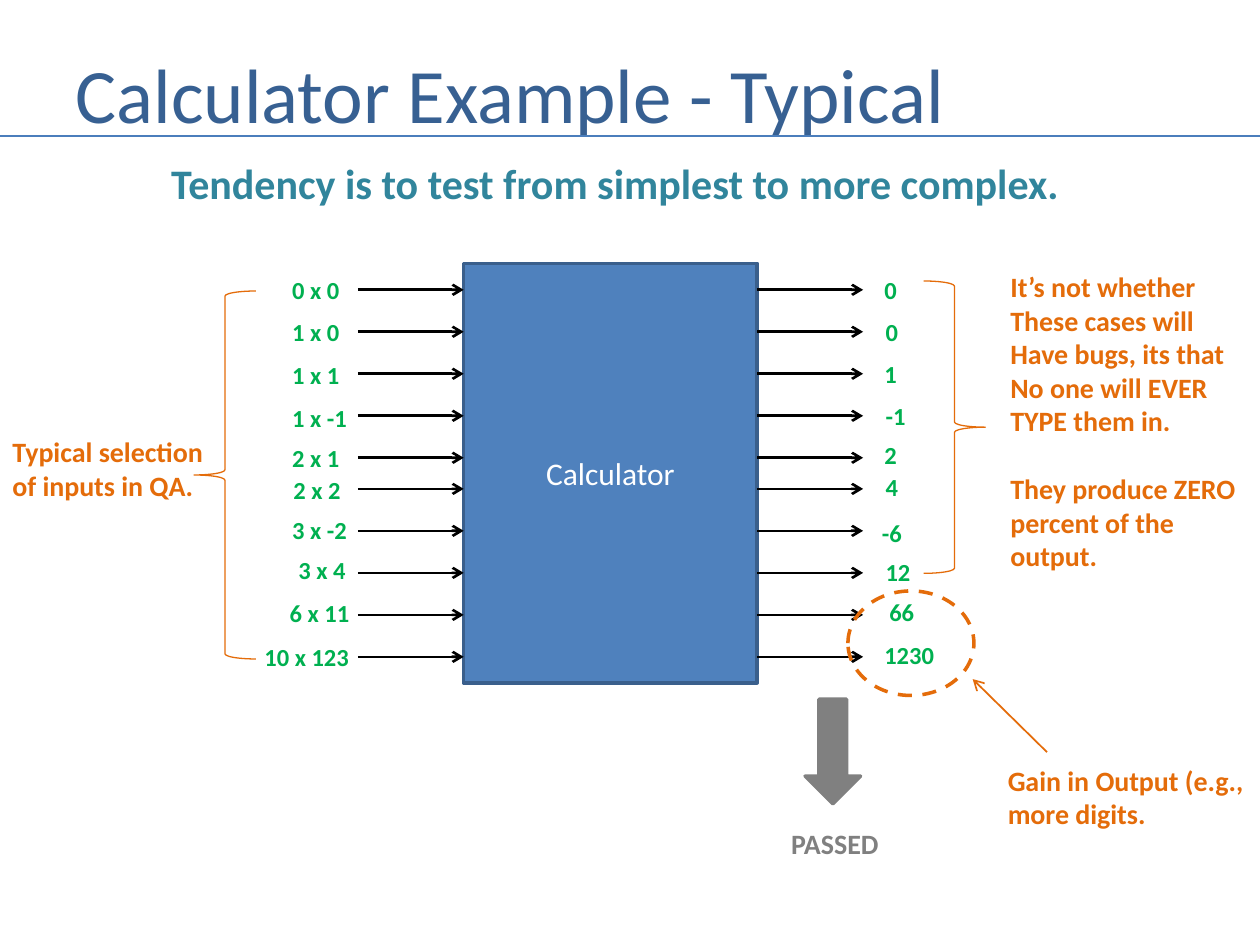
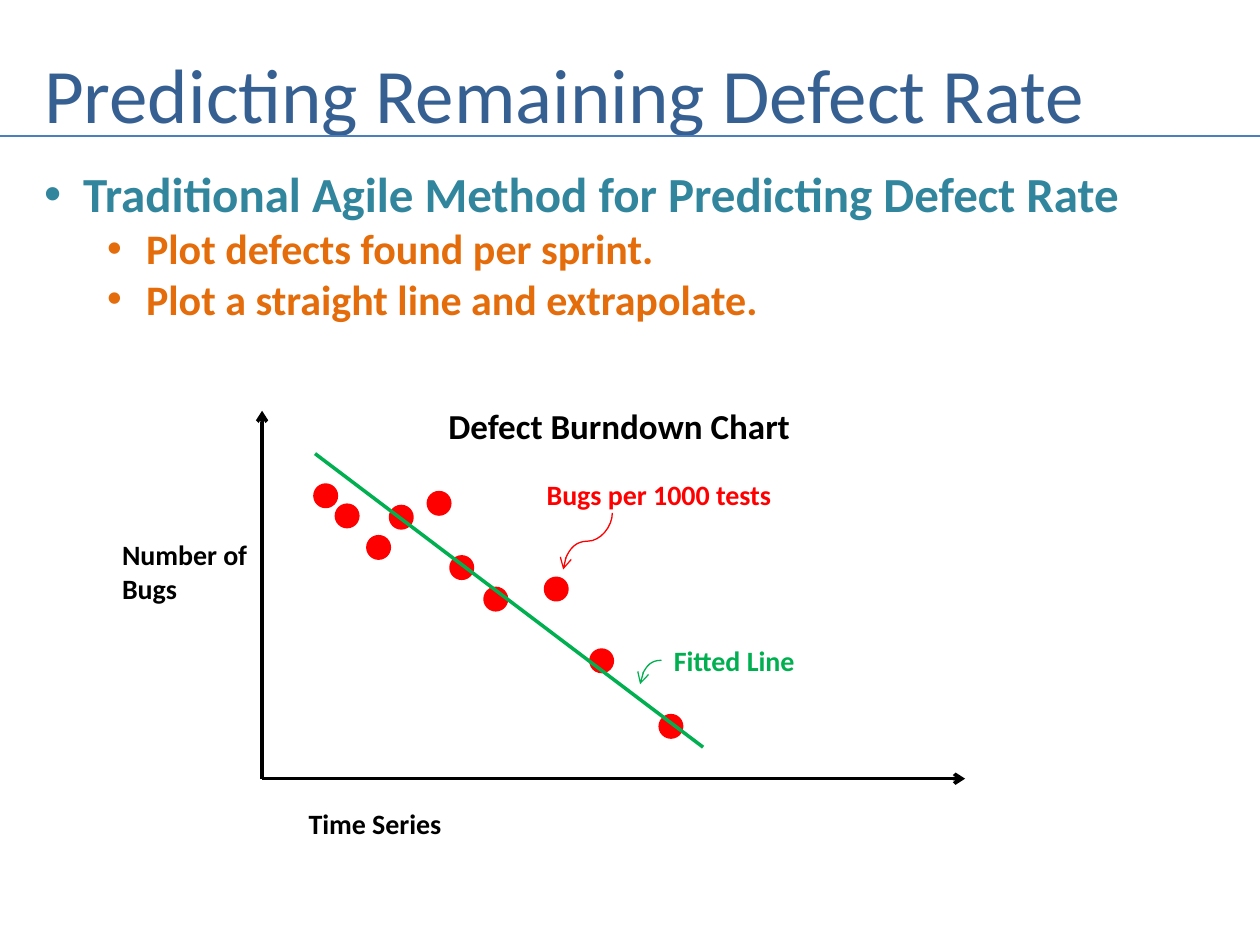
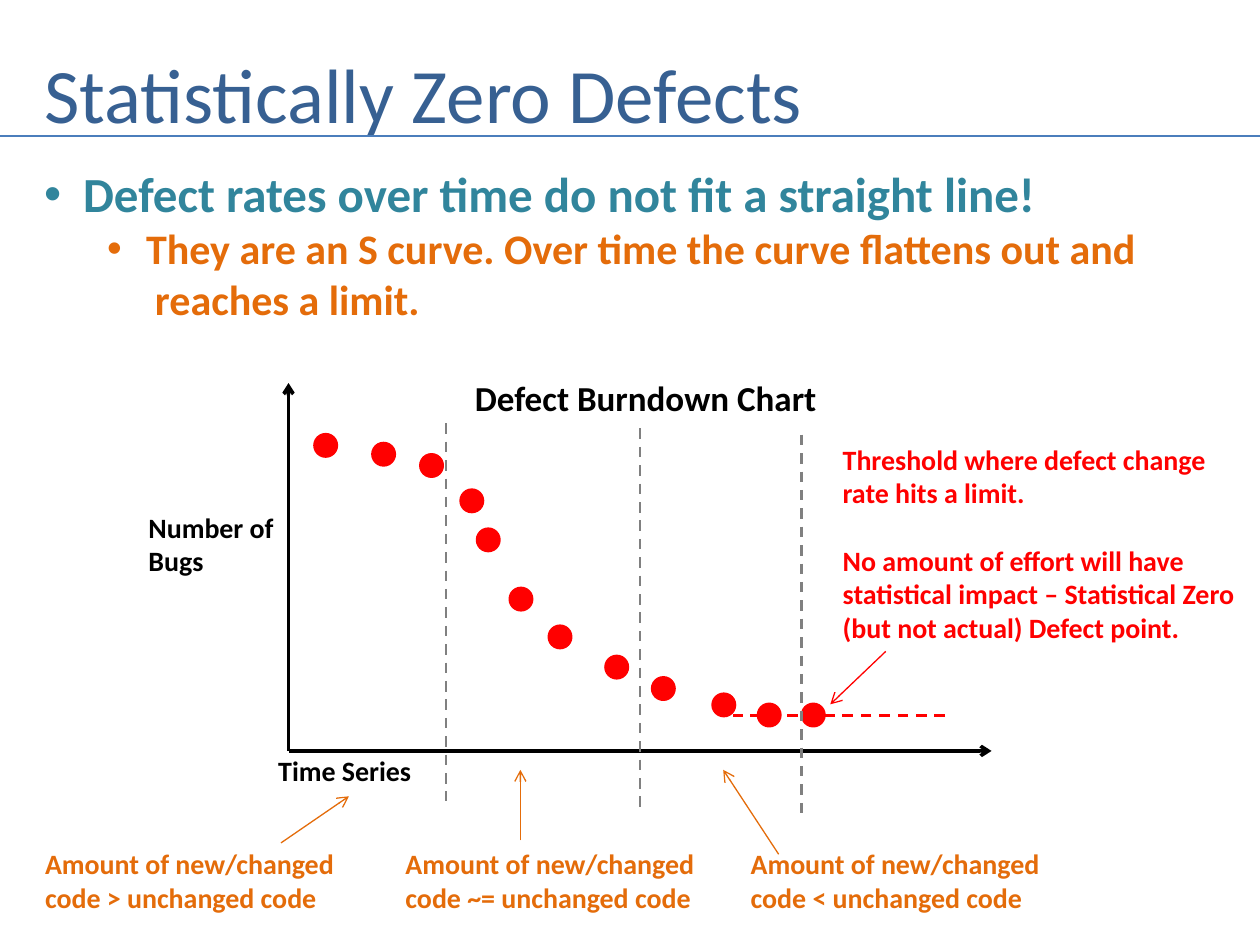
from pptx import Presentation
from pptx.dml.color import RGBColor
from pptx.enum.dml import MSO_LINE
from pptx.enum.shapes import MSO_CONNECTOR, MSO_SHAPE
from pptx.enum.text import MSO_ANCHOR, MSO_AUTO_SIZE, PP_ALIGN
from pptx.oxml.ns import qn
from pptx.util import Inches, Pt
from lxml import etree

# Shared look
FONT = "Calibri"
NAVY = RGBColor(0x37, 0x60, 0x92)
RULE_BLUE = RGBColor(0x4B, 0x7E, 0xBC)
BOX_BLUE = RGBColor(0x4F, 0x81, 0xBD)
EDGE_BLUE = RGBColor(0x3A, 0x5F, 0x8C)
TEAL = RGBColor(0x31, 0x85, 0x9C)
ORANGE = RGBColor(0xE4, 0x6C, 0x0A)
GREEN = RGBColor(0x00, 0xB0, 0x50)
RED = RGBColor(0xFF, 0x00, 0x00)
GREY = RGBColor(0x80, 0x80, 0x80)
BLACK = RGBColor(0x00, 0x00, 0x00)
WHITE = RGBColor(0xFF, 0xFF, 0xFF)

DASH = MSO_LINE.DASH
STRAIGHT, CURVE = MSO_CONNECTOR.STRAIGHT, MSO_CONNECTOR.CURVE
RECTANGLE, OVAL = MSO_SHAPE.RECTANGLE, MSO_SHAPE.OVAL
LEFT_BRACE, DOWN_ARROW = MSO_SHAPE.LEFT_BRACE, MSO_SHAPE.DOWN_ARROW
LEFT, CENTER = PP_ALIGN.LEFT, PP_ALIGN.CENTER
TOP, MIDDLE = MSO_ANCHOR.TOP, MSO_ANCHOR.MIDDLE
FIXED, FIT_TEXT = MSO_AUTO_SIZE.NONE, MSO_AUTO_SIZE.SHAPE_TO_FIT_TEXT

TITLE_ONLY, TITLE_AND_BODY = 5, 1
LINE_GAP = 19.5  # one line of 16-point text
ROW_STEP = 1 / 3
DOT = 0.17


# Text and drawing helpers
def write(para, text, size=16, colour=BLACK, bold=True, align=LEFT, before=0):
    para.text = text
    para.alignment = align
    para.space_before = Pt(before)
    for span in para.runs:
        span.font.name = FONT
        span.font.size = Pt(size)
        span.font.bold = bold
        span.font.color.rgb = colour


def add_text(page, box, *blocks, wrap=False, **style):
    """Each block is a list of lines; a line's gap parts the blocks."""
    frame = page.shapes.add_textbox(*map(Inches, box)).text_frame
    frame.word_wrap = wrap
    frame.auto_size = FIT_TEXT
    para = frame.paragraphs[0]
    for block_number, block in enumerate(blocks):
        for line_number, line in enumerate(block):
            if block_number or line_number:
                para = frame.add_paragraph()
            gap = LINE_GAP if block_number and not line_number else 0
            write(para, line, before=gap, **style)


def add_shape(page, kind, box, line, fill=None, width=2.0, dash=None, turn=0):
    shape = page.shapes.add_shape(kind, *map(Inches, box))
    shape.shadow.inherit = False
    shape.rotation = turn
    if fill is None:
        shape.fill.background()
    else:
        shape.fill.solid()
        shape.fill.fore_color.rgb = fill
    shape.line.color.rgb = line
    shape.line.width = Pt(width)
    if dash:
        shape.line.dash_style = dash
    return shape


def add_line(page, start, end, colour, width=1.5, dash=None, arrow=False,
             kind=STRAIGHT):
    line = page.shapes.add_connector(kind, *map(Inches, (*start, *end)))
    line.line.color.rgb = colour
    line.line.width = Pt(width)
    if dash:
        line.line.dash_style = dash
    properties = line._element.spPr
    if arrow:
        etree.SubElement(properties.find(qn("a:ln")), qn("a:tailEnd"), type="arrow")
    etree.SubElement(properties, qn("a:effectLst"))
    return line


def add_curved_arrow(page, start, end, colour, preset, turn):
    arrow = add_line(page, start, end, colour, width=0.75, arrow=True, kind=CURVE)
    properties = arrow._element.spPr
    properties.find(qn("a:xfrm")).set("rot", str(turn * 60000))
    properties.find(qn("a:prstGeom")).set("prst", preset)


# Parts that the slides share
def start_page(deck, layout, title, left, width):
    page = deck.slides.add_slide(deck.slide_layouts[layout])
    heading = page.shapes.title
    heading.left, heading.top = Inches(left), Inches(0.3)
    heading.width, heading.height = Inches(width), Inches(0.87)
    frame = heading.text_frame
    frame.auto_size = FIXED
    frame.vertical_anchor = MIDDLE
    write(frame.paragraphs[0], title, size=44, colour=NAVY, bold=False)
    add_line(page, (0, 1.08), (10, 1.08), RULE_BLUE)
    return page


def set_bullet(para, margin, bullet):
    properties = para._p.get_or_add_pPr()
    properties.set("marL", str(Inches(margin)))
    properties.set("indent", str(Inches(-0.31 if bullet else 0)))
    if bullet:
        etree.SubElement(properties, qn("a:buFont"), typeface="Arial")
        etree.SubElement(properties, qn("a:buChar"), char="•")
    else:
        etree.SubElement(properties, qn("a:buNone"))


def fill_body(page, headline, points):
    """Points are (text, left margin, has bullet)."""
    body = page.placeholders[1]
    body.left, body.top = Inches(0.25), Inches(1.25)
    body.width, body.height = Inches(9.42), Inches(1.38)
    frame = body.text_frame
    frame.auto_size = FIXED
    frame.vertical_anchor = TOP
    para = frame.paragraphs[0]
    write(para, headline, size=28, colour=TEAL)
    set_bullet(para, 0.31, True)
    for text, margin, bullet in points:
        para = frame.add_paragraph()
        para.level = 1
        write(para, text, size=24, colour=ORANGE)
        set_bullet(para, margin, bullet)


def draw_burndown(page, origin, dots, time_label):
    """Axes, labels and dots; dots and time label are offsets from the origin."""
    x, y = origin
    add_line(page, origin, (x, y - 2.92), BLACK, width=2, arrow=True)
    add_line(page, origin, (x + 5.58, y), BLACK, width=2, arrow=True)
    for right, up in dots:
        add_shape(page, OVAL, (x + right, y - up, DOT, DOT), RED, fill=RED)
    add_text(page, (x - 1.21, y - 1.96, 1.21, 0.64), ["Number of\nBugs"])
    add_text(page, (x + time_label[0], y + time_label[1], 1.58, 0.37),
             ["Time Series"], wrap=True)
    add_text(page, (x + 1.38, y - 3.02, 2.94, 0.44), ["Defect Burndown Chart"],
             size=20)


# Slide 1: calculator
# Label, left and top
INPUTS = [("0 x 0", 2.22, 2.13, 0.58), ("1 x 0", 2.22, 2.47, 0.58),
          ("1 x 1", 2.22, 2.81, 0.58), ("1 x -1", 2.22, 3.15, 0.64),
          ("2 x 1", 2.22, 3.47, 0.58), ("2 x 2", 2.23, 3.72, 0.58),
          ("3 x -2", 2.22, 4.04, 0.64), ("3 x 4", 2.27, 4.36, 0.58),
          ("6 x 11", 2.2, 4.7, 0.68), ("10 x 123", 2, 5.05, 0.88)]
OUTPUTS = [("0", 6.92, 2.13, 0.3), ("0", 6.93, 2.47, 0.3),
           ("1", 6.92, 2.8, 0.3), ("-1", 6.93, 3.13, 0.36),
           ("2", 6.92, 3.44, 0.3), ("4", 6.93, 3.7, 0.3),
           ("-6", 6.9, 4.06, 0.36), ("12", 6.93, 4.37, 0.4),
           ("66", 6.96, 4.69, 0.4), ("1230", 6.92, 5.03, 0.6)]


def draw_calculator(page, box):
    left, top, width, height = box
    machine = add_shape(page, RECTANGLE, box, EDGE_BLUE, fill=BOX_BLUE)
    frame = machine.text_frame
    frame.vertical_anchor = MIDDLE
    write(frame.paragraphs[0], "Calculator", size=18, colour=WHITE, bold=False,
          align=CENTER)
    # Two groups of five evenly spaced rows
    for group_top in (top + 0.21, top + 1.79):
        for row in range(5):
            y = group_top + row * ROW_STEP
            for start in (left - 0.84, left + width):
                add_line(page, (start, y), (start + 0.84, y), BLACK, arrow=True)
    for text, x, y, label_width in INPUTS + OUTPUTS:
        add_text(page, (x, y, label_width, 0.34), [text], size=14, colour=GREEN)


def annotate_calculator(page):
    add_text(page, (0, 3.4, 1.78, 0.64), ["Typical selection \nof inputs in QA."],
             colour=ORANGE)
    add_shape(page, LEFT_BRACE, (1.54, 2.31, 0.49, 2.92), ORANGE, width=0.75)
    add_shape(page, LEFT_BRACE, (7.33, 2.23, 0.49, 2.32), ORANGE, width=0.75,
              turn=180)
    add_text(page, (7.92, 2.09, 2.01, 2.52),
             ["It’s not whether", "These cases will", "Have bugs, its that",
              "No one will EVER", "TYPE them in."],
             ["They produce ZERO", "percent of the", "output."], colour=ORANGE)
    # Verdict
    add_shape(page, DOWN_ARROW, (6.39, 5.55, 0.44, 0.83), GREY, fill=GREY)
    add_text(page, (6.18, 6.51, 0.91, 0.37), ["PASSED"], colour=GREY)
    # Larger outputs
    add_shape(page, OVAL, (6.73, 4.69, 1, 0.83), ORANGE, dash=DASH)
    add_line(page, (8.31, 5.97), (7.72, 5.39), ORANGE, width=1, arrow=True)
    add_text(page, (7.9, 6.01, 2.1, 0.64), ["Gain in Output (e.g.,", "more digits."],
             colour=ORANGE)


def build_calculator_page(deck):
    page = start_page(deck, TITLE_ONLY, "Calculator Example - Typical", 0.5, 9.08)
    add_text(page, (1.26, 1.2, 7.4, 0.5),
             ["Tendency is to test from simplest to more complex."],
             size=24, colour=TEAL)
    draw_calculator(page, (3.68, 2.09, 2.33, 3.33))
    annotate_calculator(page)


# Slide 2: straight-line prediction
LINEAR_DOTS = [(0.42, 2.33), (0.59, 2.17), (0.84, 1.92), (1.02, 2.16), (1.32, 2.27),
               (1.5, 1.76), (1.77, 1.51), (2.25, 1.59), (2.61, 1.02), (3.16, 0.5)]


def build_prediction_page(deck):
    page = start_page(deck, TITLE_AND_BODY, "Predicting Remaining Defect Rate",
                      0.25, 9.33)
    fill_body(page, "Traditional Agile Method for Predicting Defect Rate",
              [("Plot defects found per sprint.", 0.81, True),
               ("Plot a straight line and extrapolate.", 0.81, True)])
    draw_burndown(page, (2.08, 6.18), LINEAR_DOTS, (0.27, 0.17))
    # Fitted line and callouts
    add_line(page, (2.5, 3.6), (5.58, 5.93), GREEN, width=2)
    add_text(page, (5.25, 5.06, 1.17, 0.37), ["Fitted Line"], colour=GREEN)
    add_curved_arrow(page, (5.08, 5.43), (5.25, 5.24), GREEN, "curvedConnector2", 180)
    add_text(page, (4.24, 3.74, 2.01, 0.37), ["Bugs per 1000 tests"], colour=RED)
    add_curved_arrow(page, (4.44, 4.1), (4.89, 4.49), RED, "curvedConnector3", 90)


# Slide 3: S curve
CURVE_DOTS = [(0.21, 2.51), (0.67, 2.44), (1.05, 2.35), (1.37, 2.07), (1.5, 1.76),
              (1.76, 1.29), (2.07, 0.99), (2.52, 0.75), (2.89, 0.58), (3.37, 0.45),
              (3.73, 0.37), (4.08, 0.37)]
# Divider x, top and bottom
DIVIDERS = [(3.54, 3.36, 6.36), (5.08, 3.4, 6.45), (6.36, 3.45, 6.5)]
# Note left, comparison sign, arrow start and end
PHASES = [(0.26, ">", (2.23, 6.69), (2.77, 6.32)),
          (3.12, "~=", (4.13, 6.67), (4.13, 6.11)),
          (5.86, "<", (6.18, 6.78), (5.74, 6.11))]


def draw_phases(page):
    for x, top, bottom in DIVIDERS:
        add_line(page, (x, top), (x, bottom), GREY, dash=DASH)
    for left, sign, start, end in PHASES:
        add_text(page, (left, 6.67, 2.53, 0.64),
                 ["Amount of new/changed", f"code {sign} unchanged code"],
                 colour=ORANGE)
        add_line(page, start, end, ORANGE, width=0.75, arrow=True)


def draw_threshold(page):
    add_line(page, (7.5, 5.68), (5.82, 5.68), RED, dash=DASH)
    add_text(page, (6.59, 3.46, 3.37, 1.72),
             ["Threshold where defect change", "rate hits a limit."],
             ["No amount of effort will have", "statistical impact – Statistical Zero",
              "(but not actual) Defect point."], colour=RED)
    add_line(page, (7.03, 5.17), (6.59, 5.59), RED, width=0.75, arrow=True)


def build_zero_defects_page(deck):
    page = start_page(deck, TITLE_AND_BODY, "Statistically Zero Defects", 0.25, 9.33)
    fill_body(page, "Defect rates over time do not fit a straight line!",
              [("They are an S curve. Over time the curve flattens out and", 0.81, True),
               ("reaches a limit.", 0.88, False)])
    draw_burndown(page, (2.29, 5.96), CURVE_DOTS, (-0.18, -0.03))
    draw_phases(page)
    draw_threshold(page)


def main():
    deck = Presentation()
    deck.slide_width, deck.slide_height = Inches(10), Inches(7.5)
    build_calculator_page(deck)
    build_prediction_page(deck)
    build_zero_defects_page(deck)
    deck.save("out.pptx")


if __name__ == "__main__":
    main()
